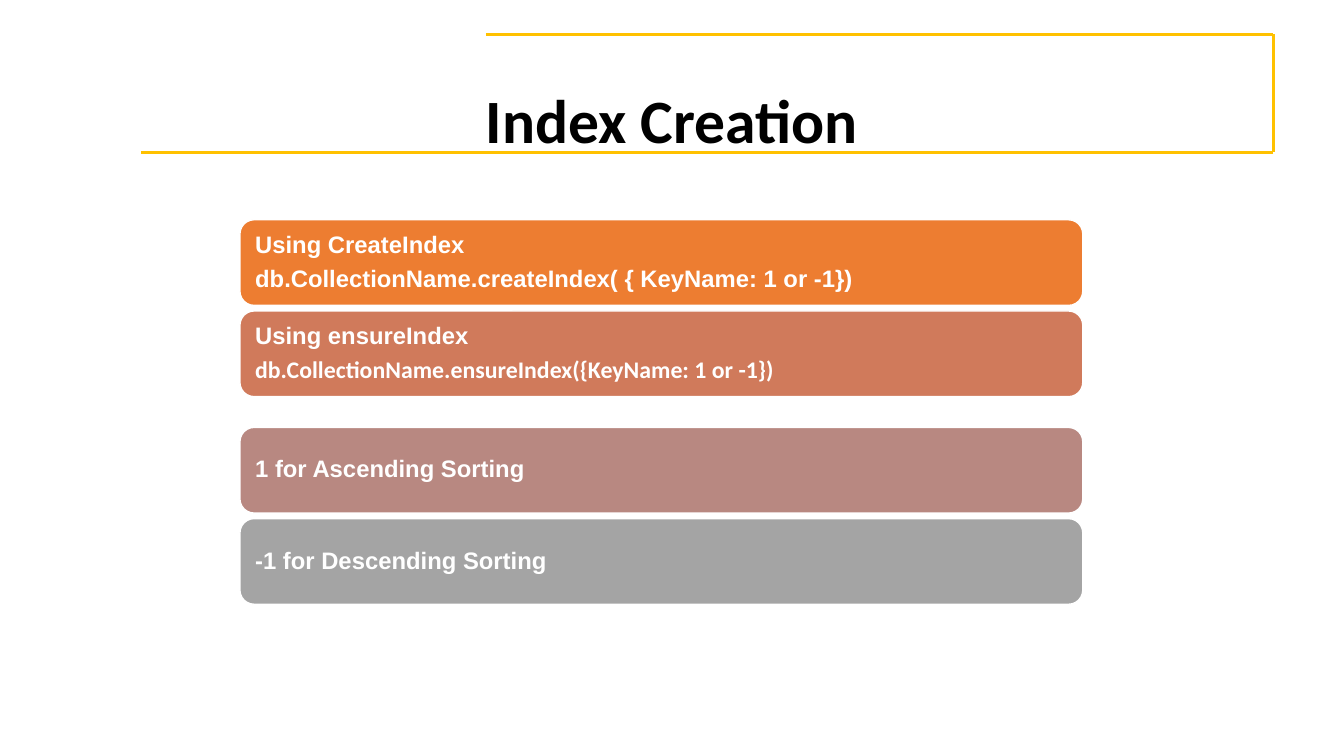
import pptx
import pptx.util
import pptx.dml.color
import pptx.enum.shapes
import pptx.enum.text
import pptx.oxml

WIDE, HIGH = 13.33, 7.5
LEFT, SPAN = 2.38, 8.36
BAR, STEP = 0.85, 0.905  # bar height and row pitch
GOLD, WHITE = "FFC100", "FFFFFF"

inch = pptx.util.Inches
align = pptx.enum.text.PP_ALIGN


def color(code):
    return pptx.dml.color.RGBColor.from_string(code)


def write(frame, lines, size=17, tint=WHITE, side=align.LEFT, pad=(0.11, 0.11)):
    """Fill a text frame with (text, font) lines."""
    frame.word_wrap = True
    frame.auto_size = pptx.enum.text.MSO_AUTO_SIZE.NONE
    frame.vertical_anchor = pptx.enum.text.MSO_ANCHOR.MIDDLE
    frame.margin_left = frame.margin_right = inch(pad[0])
    frame.margin_top = frame.margin_bottom = inch(pad[1])
    for i, (text, face) in enumerate(lines):
        para = frame.add_paragraph() if i else frame.paragraphs[0]
        para.alignment = side
        para.line_spacing = 0.9
        para.space_before = pptx.util.Pt(6 if i else 0)
        run = para.add_run()
        run.text = text
        font = run.font
        font.name, font.size, font.bold = face, pptx.util.Pt(size), True
        font.color.rgb = color(tint)


def rule(slide, start, end):
    kind = pptx.enum.shapes.MSO_CONNECTOR.STRAIGHT
    line = slide.shapes.add_connector(kind, *map(inch, start + end))
    line.line.color.rgb = color(GOLD)
    line.line.width = pptx.util.Pt(2)
    props = line._element.spPr
    props.append(pptx.oxml.parse_xml(
        '<a:effectLst xmlns:a="http://schemas.openxmlformats.org/drawingml/2006/main"/>'))


def bar(slide, top, fill, lines):
    kind = pptx.enum.shapes.MSO_SHAPE.ROUNDED_RECTANGLE
    box = slide.shapes.add_shape(kind, *map(inch, (LEFT, top, SPAN, BAR)))
    box.shadow.inherit = False
    box.fill.solid()
    box.fill.fore_color.rgb = color(fill)
    box.line.color.rgb = color(WHITE)
    box.line.width = pptx.util.Pt(1)
    write(box.text_frame, lines)


def stack(slide, top, bars):
    for row, (fill, lines) in enumerate(bars):
        bar(slide, top + row * STEP, fill, lines)


def main():
    deck = pptx.Presentation()
    deck.slide_width, deck.slide_height = inch(WIDE), inch(HIGH)
    slide = deck.slides.add_slide(deck.slide_layouts[5])

    frame = [(4.82, 0.34), (12.63, 0.34), (12.63, 1.51), (1.4, 1.51)]
    for start, end in zip(frame, frame[1:]):
        rule(slide, start, end)

    title = slide.shapes.title
    title.left, title.top = inch(LEFT), inch(0.5)
    title.width, title.height = inch(8.57), inch(1.45)
    write(title.text_frame, [("Index Creation", "Calibri")],
          size=44, tint="000000", side=align.CENTER, pad=(0.1, 0.05))

    stack(slide, 2.18, [
        ("ED7D31", [("Using CreateIndex", "Arial"),
                    ("db.CollectionName.createIndex( { KeyName: 1 or -1})", "Arial")]),
        ("D07A5B", [("Using ensureIndex", "Arial"),
                    ("db.CollectionName.ensureIndex({KeyName: 1 or -1})", "Calibri")]),
    ])
    stack(slide, 4.24, [
        ("B88881", [("1 for Ascending Sorting", "Arial")]),
        ("A4A4A4", [("-1 for Descending Sorting", "Arial")]),
    ])
    deck.save("out.pptx")


if __name__ == "__main__":
    main()
